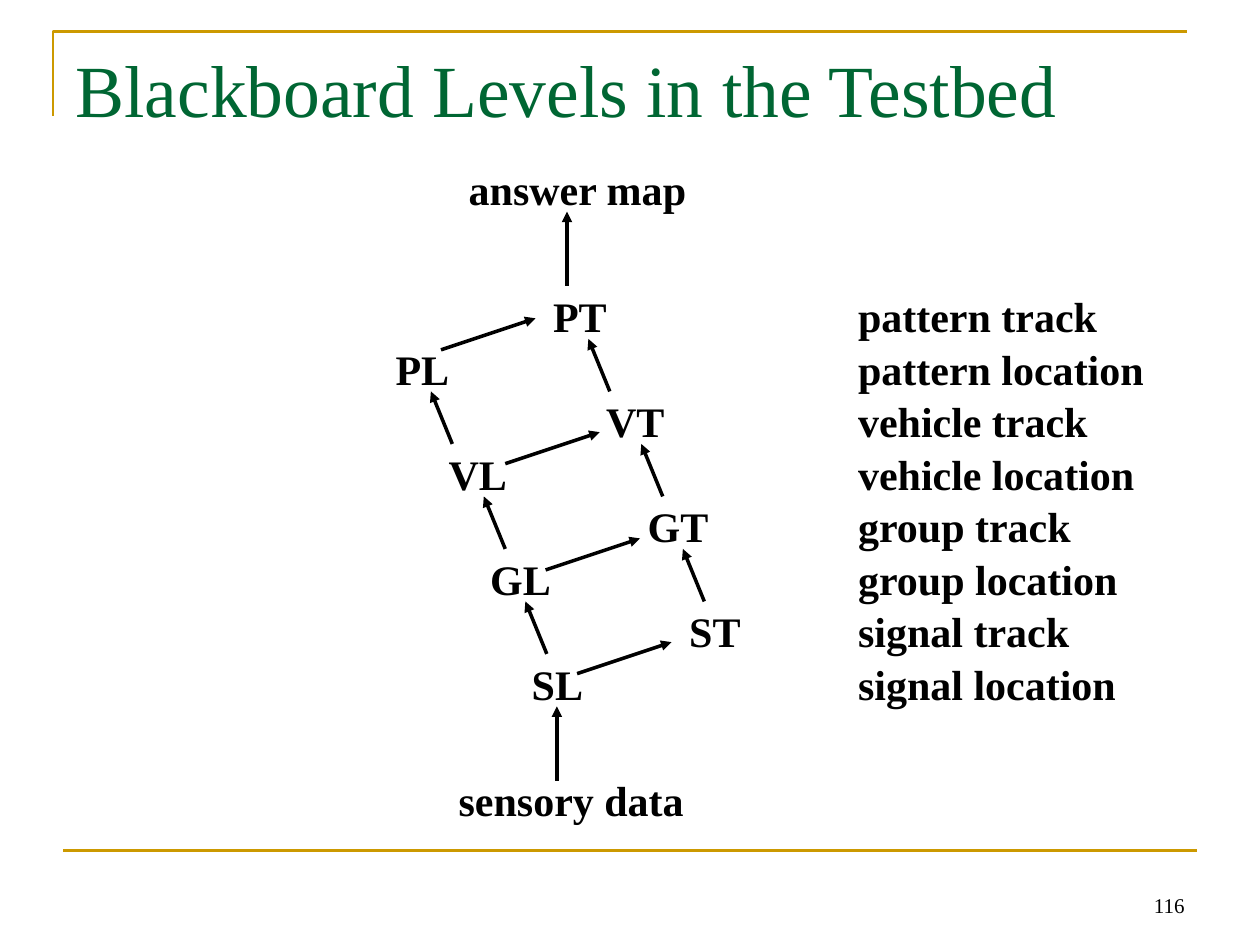
from lxml.etree import SubElement
from pptx import Presentation
from pptx.dml.color import RGBColor
from pptx.enum.shapes import MSO_CONNECTOR
from pptx.enum.text import MSO_ANCHOR, MSO_AUTO_SIZE, PP_ALIGN
from pptx.oxml.ns import qn
from pptx.util import Inches, Pt

FONT = "Times New Roman"
BLACK = RGBColor(0x00, 0x00, 0x00)
GREEN = RGBColor(0x00, 0x66, 0x33)
GOLD = RGBColor(0xCC, 0x99, 0x00)

TITLE = "Blackboard Levels in the Testbed"
PAGE_NUMBER = "116"
# Top to bottom: letter, left of the track box, box width,
# start of the arrow from location to track (relative to the location box),
# then the meaning of track and location, each with its width
STAGES = [
    ("P", 4.32, 0.57, (0.43, 0.02), ("pattern track", 2.04), ("pattern location", 2.41)),
    ("V", 4.74, 0.60, (0.52, 0.09), ("vehicle track", 1.96), ("vehicle location", 2.33)),
    ("G", 5.07, 0.62, (0.51, 0.10), ("group track", 1.83), ("group location", 2.21)),
    ("S", 5.40, 0.55, (0.43, 0.09), ("signal track", 1.82), ("signal location", 2.19)),
]
OUTPUT = ("answer map", 3.65, 1.33, 1.87)
INPUT = ("sensory data", 3.57, 6.18, 1.93)

FIRST_ROW, ROW_STEP = 2.34, 5 / 12
LOCATION_SHIFT = -1.25
MEANING_LEFT = 6.74
LABEL_HEIGHT = 0.4
TIP = 0.35  # arrow tip, right of and below a label's corner
RISE = (0.17, -ROW_STEP)
ACROSS = (0.75, -0.25)
ENTRY_LENGTH = 0.59


def add_label(slide, text, left, top, width):
    box = slide.shapes.add_textbox(Inches(left), Inches(top), Inches(width), Inches(LABEL_HEIGHT))
    frame = box.text_frame
    frame.word_wrap = False
    frame.auto_size = MSO_AUTO_SIZE.NONE
    frame.margin_left, frame.margin_right = Inches(0.07), Inches(0.04)
    frame.margin_top = frame.margin_bottom = Inches(0.03)
    para = frame.paragraphs[0]
    para.text = text
    para.line_spacing = 0.85
    para.alignment = PP_ALIGN.LEFT
    style_font(para.font, 24, BLACK, bold=True)


def style_font(font, size, color, bold=False):
    font.name, font.size, font.bold = FONT, Pt(size), bold
    font.color.rgb = color


def add_line(slide, start, end, color=BLACK, width=2, arrow=True):
    line = slide.shapes.add_connector(MSO_CONNECTOR.STRAIGHT, *map(Inches, (*start, *end)))
    line.line.color.rgb = color
    line.line.width = Pt(width)
    if arrow:
        SubElement(line.line._get_or_add_ln(), qn("a:tailEnd"), type="triangle")
    SubElement(line._element.spPr, qn("a:effectLst"))


def add_frame(slide):
    builder = slide.shapes.build_freeform(Inches(0.42), Inches(0.92))
    builder.add_line_segments([(Inches(0.42), Inches(0.25)), (Inches(9.42), Inches(0.25))], close=False)
    corner = builder.convert_to_shape()
    corner.shadow.inherit = False
    corner.fill.background()
    corner.line.color.rgb = GOLD
    corner.line.width = Pt(1.5)
    add_line(slide, (0.5, 6.75), (9.5, 6.75), GOLD, 1.5, arrow=False)


def add_title(slide):
    title = slide.shapes.title
    title.left, title.top, title.width, title.height = map(Inches, (0.5, 0.3, 9, 1.25))
    frame = title.text_frame
    frame.vertical_anchor = MSO_ANCHOR.TOP
    frame.auto_size = MSO_AUTO_SIZE.NONE
    para = frame.paragraphs[0]
    para.text = TITLE
    para.alignment = PP_ALIGN.LEFT
    style_font(para.font, 42, GREEN)


def add_page_number(slide):
    box = slide.shapes.add_textbox(*map(Inches, (7.17, 6.83, 2.33, 0.5)))
    frame = box.text_frame
    frame.word_wrap = True
    frame.vertical_anchor = MSO_ANCHOR.BOTTOM
    para = frame.paragraphs[0]
    para.text = PAGE_NUMBER
    para.alignment = PP_ALIGN.RIGHT
    style_font(para.font, 12, BLACK)


def add_levels(slide):
    for index, (letter, track_left, width, offset, *meanings) in enumerate(STAGES):
        is_last = index == len(STAGES) - 1
        for kind, (meaning, meaning_width) in enumerate(meanings):
            left = track_left + kind * LOCATION_SHIFT
            top = FIRST_ROW + (2 * index + kind) * ROW_STEP
            add_label(slide, letter + "TL"[kind], left, top, width)
            add_label(slide, meaning, MEANING_LEFT, top, meaning_width)
            if not is_last:
                tip = (left + TIP, top + TIP)
                add_line(slide, (tip[0] + RISE[0], tip[1] - RISE[1]), tip)
        # left and top now belong to the location box
        start = (left + offset[0], top + offset[1])
        add_line(slide, start, (start[0] + ACROSS[0], start[1] + ACROSS[1]))


def add_ends(slide):
    for label in (OUTPUT, INPUT):
        add_label(slide, *label)
    last_row = FIRST_ROW + (2 * len(STAGES) - 1) * ROW_STEP
    for x, label_top in ((4.5, OUTPUT[2]), (4.42, last_row)):
        tip_y = label_top + TIP
        add_line(slide, (x, tip_y + ENTRY_LENGTH), (x, tip_y))


def main():
    deck = Presentation()
    deck.slide_width, deck.slide_height = Inches(10), Inches(7.5)
    slide = deck.slides.add_slide(deck.slide_layouts[5])
    add_frame(slide)
    add_title(slide)
    add_levels(slide)
    add_ends(slide)
    add_page_number(slide)
    deck.save("out.pptx")


if __name__ == "__main__":
    main()
